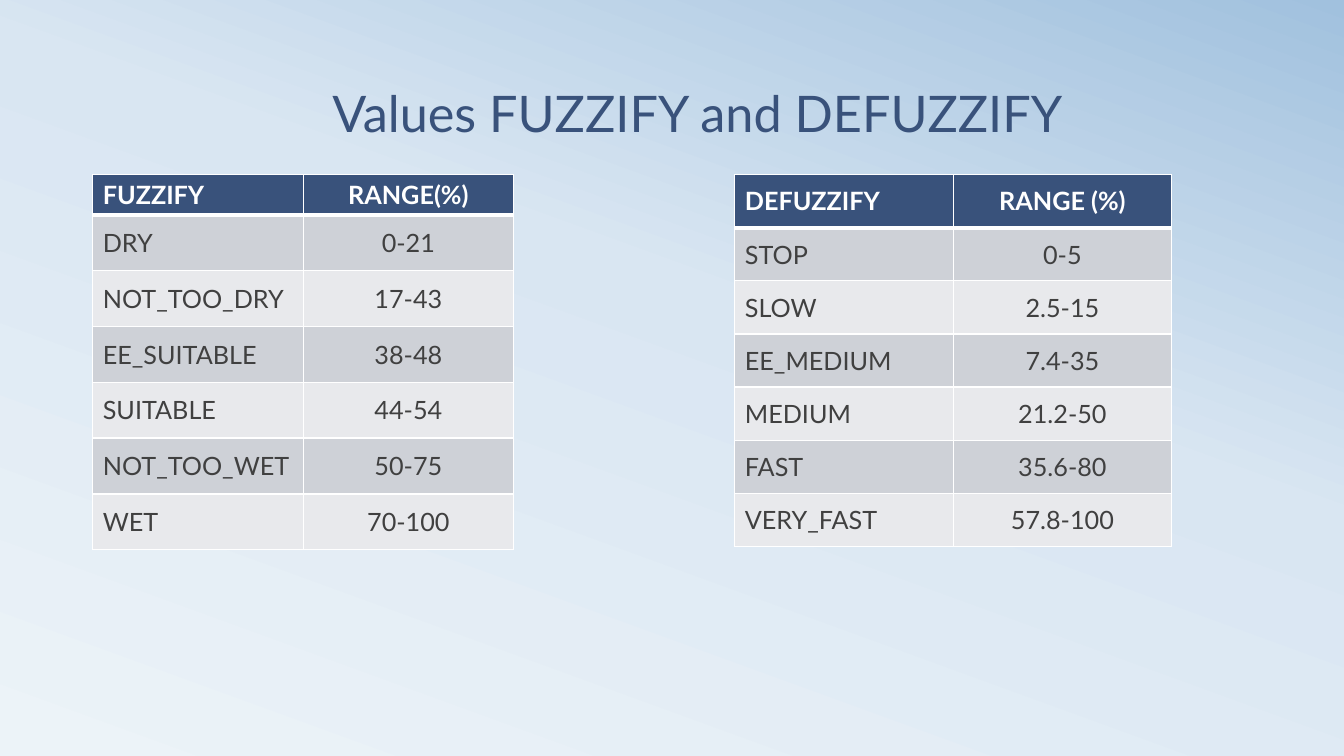
import copy
import lxml.etree
import pptx
import pptx.dml.color
import pptx.enum.text
import pptx.oxml.ns
import pptx.util

TITLE = "Values FUZZIFY and DEFUZZIFY"
TABLES = [
    {
        "left": 524.88, "width": 312, "head": 38.16, "row": 37.95,
        "rows": [
            ("DEFUZZIFY", "RANGE (%)"),
            ("STOP", "0-5"),
            ("SLOW", "2.5-15"),
            ("EE_MEDIUM", "7.4-35"),
            ("MEDIUM", "21.2-50"),
            ("FAST", "35.6-80"),
            ("VERY_FAST", "57.8-100"),
        ],
    },
    {
        "left": 66.24, "width": 300.6, "head": 26.64, "row": 39.9,
        "rows": [
            ("FUZZIFY", "RANGE(%)"),
            ("DRY", "0-21"),
            ("NOT_TOO_DRY", "17-43"),
            ("EE_SUITABLE", "38-48"),
            ("SUITABLE", "44-54"),
            ("NOT_TOO_WET", "50-75"),
            ("WET", "70-100"),
        ],
    },
]
THEME = {
    "font": "Lato", "title": 36, "body": 18,
    "navy": "39527B", "white": "FFFFFF", "ink": "404040",
    "bands": ("CED1D7", "E8E9EC"),
    "back": ((0, "ECF3F8"), (0.58, "D9E6F2"), (1, "A1C1DE")),
    "angle": 70, "thin": 1, "thick": 3,
}
TOP = 124.56

Pt = pptx.util.Pt
ALIGN = pptx.enum.text.PP_ALIGN
ANCHOR = pptx.enum.text.MSO_ANCHOR
qn = pptx.oxml.ns.qn


def rgb(code):
    return pptx.dml.color.RGBColor.from_string(code)


def write(frame, text, size, color, bold=False, align=ALIGN.LEFT, space=None):
    para = frame.paragraphs[0]
    para.alignment = align
    para.line_spacing = space
    run = para.add_run()
    run.text = text
    run.font.name = THEME["font"]
    run.font.size = Pt(size)
    run.font.bold = bold
    run.font.color.rgb = rgb(color)


def edge(cell, sides):
    props = cell._tc.get_or_add_tcPr()
    for place, (side, width) in enumerate(sides.items()):
        line = lxml.etree.Element(qn("a:ln" + side), w=str(Pt(width)))
        fill = lxml.etree.SubElement(line, qn("a:solidFill"))
        lxml.etree.SubElement(fill, qn("a:srgbClr"), val=THEME["white"])
        props.insert(place, line)


def paint(slide):
    fill = slide.background.fill
    fill.gradient()
    fill.gradient_angle = THEME["angle"]
    stops = slide.element.find(".//" + qn("a:gsLst"))
    stops.append(copy.deepcopy(stops[0]))
    for stop, (place, code) in zip(fill.gradient_stops, THEME["back"]):
        stop.position = place
        stop.color.rgb = rgb(code)


def add_title(slide):
    box = slide.shapes.add_textbox(Pt(66.24), Pt(20.88), Pt(864), Pt(84.24))
    frame = box.text_frame
    frame.word_wrap = True
    frame.vertical_anchor = ANCHOR.BOTTOM
    write(frame, TITLE, THEME["title"], THEME["navy"],
          align=ALIGN.CENTER, space=0.8)


def add_grid(slide, data):
    rows = data["rows"]
    high = data["head"] + data["row"] * (len(rows) - 1)
    grid = slide.shapes.add_table(
        len(rows), 2, Pt(data["left"]), Pt(TOP), Pt(data["width"]), Pt(high)
    ).table
    for r, row in enumerate(rows):
        head = r == 0
        grid.rows[r].height = Pt(data["head"] if head else data["row"])
        for c, text in enumerate(row):
            cell = grid.cell(r, c)
            cell.vertical_anchor = ANCHOR.MIDDLE
            cell.fill.solid()
            cell.fill.fore_color.rgb = rgb(
                THEME["navy"] if head else THEME["bands"][(r - 1) % 2])
            edge(cell, {
                "L": THEME["thin"], "R": THEME["thin"],
                "T": THEME["thick" if r == 1 else "thin"],
                "B": THEME["thick" if head else "thin"],
            })
            write(cell.text_frame, text, THEME["body"],
                  THEME["white" if head else "ink"], bold=head,
                  align=ALIGN.CENTER if c else ALIGN.LEFT)


def main():
    deck = pptx.Presentation()
    deck.slide_width, deck.slide_height = Pt(960), Pt(540)
    slide = deck.slides.add_slide(deck.slide_layouts[6])
    paint(slide)
    add_title(slide)
    for data in TABLES:
        add_grid(slide, data)
    deck.save("out.pptx")


if __name__ == "__main__":
    main()
